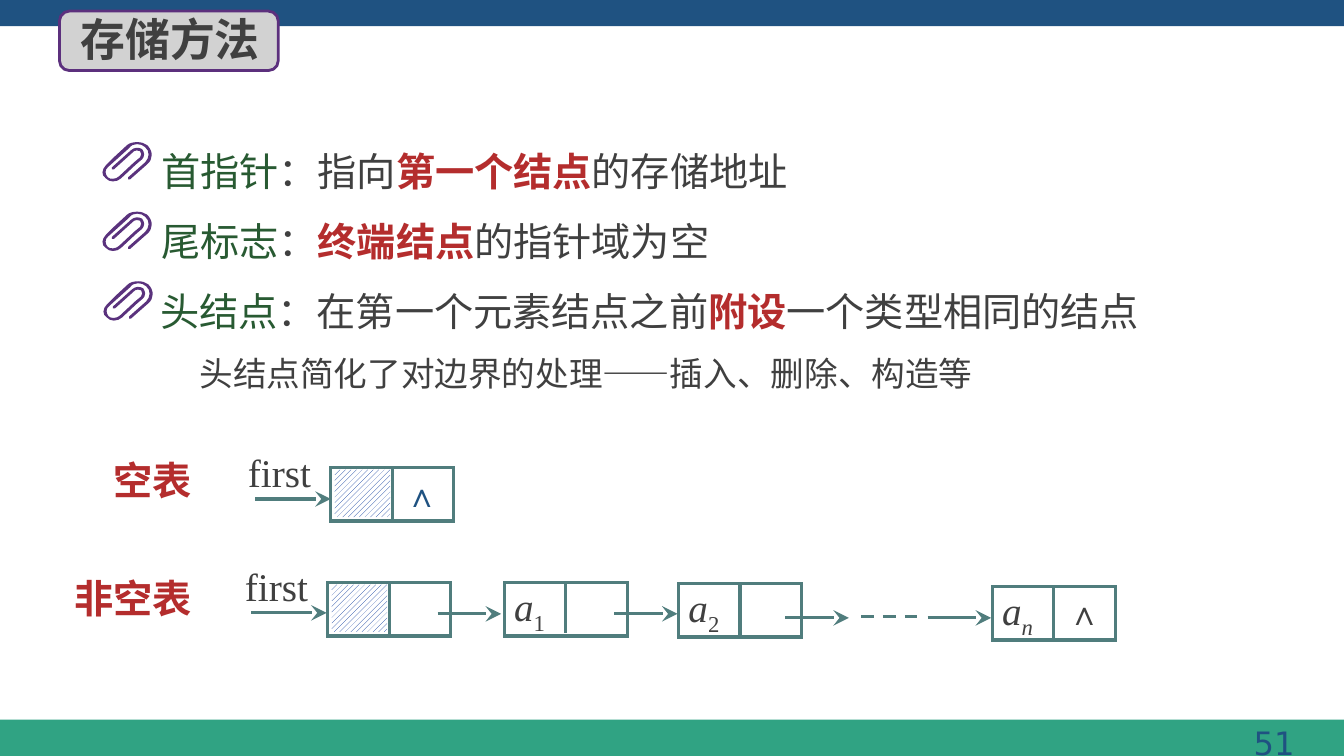
from lxml.etree import SubElement
from pptx import Presentation
from pptx.dml.color import RGBColor
from pptx.enum.dml import MSO_LINE, MSO_PATTERN
from pptx.enum.shapes import MSO_CONNECTOR, MSO_SHAPE
from pptx.enum.text import MSO_ANCHOR, PP_ALIGN
from pptx.oxml.ns import qn
from pptx.util import Inches, Pt

COLORS = {name: RGBColor.from_string(value) for name, value in {
    "navy": "1F5281", "teal": "30A383", "ink": "404040", "green": "285A32",
    "red": "B42D2D", "purple": "5A327D", "title_line": "5C307D", "title_fill": "D2D2D2",
    "node": "507D7D", "hatch": "003399", "white": "FFFFFF",
}.items()}
SANS, SERIF, PAGE_FONT = "Noto Sans CJK SC", "Times New Roman", "DejaVu Sans"
WIDTH, HEIGHT = 13.33, 7.5
NODE_WIDTH, NODE_HEIGHT = 1.22, 0.53
HALF = NODE_WIDTH / 2
ARROW = 0.63

deck = Presentation()
deck.slide_width, deck.slide_height = Inches(WIDTH), Inches(HEIGHT)
page = deck.slides.add_slide(deck.slide_layouts[6])
shapes = page.shapes


def write(box, lines, size, font=SANS, insets=(0.1, 0.05, 0.1, 0.05),
          align=PP_ALIGN.LEFT, anchor=MSO_ANCHOR.TOP, spacing=None):
    """Fill a box with lines, each a list of (text, colour, style letters b, i, s for subscript)."""
    frame = box.text_frame
    frame.word_wrap = True
    frame.vertical_anchor = anchor
    frame.margin_left, frame.margin_top, frame.margin_right, frame.margin_bottom = map(Inches, insets)
    for index, spans in enumerate(lines):
        para = frame.add_paragraph() if index else frame.paragraphs[0]
        para.alignment, para.line_spacing = align, spacing
        para.font.size, para.font.name = Pt(size), font
        SubElement(para.font._element, qn("a:ea"), typeface=font)
        for text, color, style in spans:
            span = para.add_run()
            span.text = text
            span.font.color.rgb = COLORS[color]
            span.font.bold, span.font.italic = "b" in style, "i" in style
            if "s" in style:
                span.font._element.set("baseline", "-25000")


def add_line(left, top, right, bottom, arrow=False):
    line = shapes.add_connector(MSO_CONNECTOR.STRAIGHT, *map(Inches, (left, top, right, bottom)))
    line.line.color.rgb, line.line.width = COLORS["node"], Pt(2.25)
    SubElement(line._element.spPr, qn("a:effectLst"))
    if arrow:
        SubElement(line.line._get_or_add_ln(), qn("a:tailEnd"), type="stealth", w="lg", len="lg")
    return line


# Bands and title plate
for kind, place, fill, outline in (
    (MSO_SHAPE.RECTANGLE, (0, HEIGHT - 0.36, WIDTH, 0.36), "teal", None),
    (MSO_SHAPE.RECTANGLE, (0, 0, WIDTH, 0.26), "navy", None),
    (MSO_SHAPE.ROUNDED_RECTANGLE, (0.59, 0.11, 2.17, 0.59), "title_fill", "title_line"),
):
    plate = shapes.add_shape(kind, *map(Inches, place))
    plate.shadow.inherit = False
    plate.fill.solid()
    plate.fill.fore_color.rgb = COLORS[fill]
    if outline:
        plate.line.color.rgb, plate.line.width = COLORS[outline], Pt(2)
    else:
        plate.line.fill.background()

# Headings, definitions and row labels
first_style = {"font": SERIF, "insets": (0, 0, 0, 0.04)}
mark_style = {"font": SERIF, "insets": (0.1, 0.05, 0.1, 0.04)}
for place, lines, size, options in (
    ((10.03, 7.11, 2.94, 0.52), [[("51", "navy", "")]], 23,
     {"font": PAGE_FONT, "insets": (0.13, 0.06, 0.13, 0.06),
      "align": PP_ALIGN.RIGHT, "anchor": MSO_ANCHOR.MIDDLE}),
    ((0.7, 0.07, 2.14, 0.64), [[("存储方法", "ink", "b")]], 32, {}),
    ((1.5, 1.18, 6.55, 1.5), [
        [("首指针", "green", ""), ("：指向", "ink", ""),
         ("第一个结点", "red", "b"), ("的存储地址", "ink", "")],
        [("尾标志", "green", ""), ("：", "ink", ""),
         ("终端结点", "red", "b"), ("的指针域为空", "ink", "")],
    ], 28, {"spacing": Pt(50)}),
    ((1.49, 2.57, 10.54, 0.72), [
        [("头结点", "green", ""), ("：在第一个元素结点之前", "ink", ""),
         ("附设", "red", "b"), ("一个类型相同的结点", "ink", "")],
    ], 28, {"spacing": Pt(50)}),
    ((1.88, 3.16, 10.54, 0.8),
     [[("头结点简化了对边界的处理——插入、删除、构造等", "ink", "")]], 24, {"spacing": Pt(50)}),
    ((0.84, 4.48, 1.16, 0.57), [[("空表", "red", "b")]], 28, {"align": PP_ALIGN.RIGHT}),
    ((0.58, 5.65, 1.42, 0.57), [[("非空表", "red", "b")]], 28, {"align": PP_ALIGN.RIGHT}),
    ((2.46, 4.45, 0.83, 0.51), [[("first", "ink", "")]], 28, first_style),
    ((2.43, 5.58, 0.83, 0.51), [[("first", "ink", "")]], 28, first_style),
    ((3.92, 4.65, 0.57, 0.49), [[("∧", "navy", "b")]], 24, mark_style),
    ((10.49, 5.82, 0.57, 0.49), [[("∧", "ink", "")]], 24, mark_style),
):
    write(shapes.add_textbox(*map(Inches, place)), lines, size, **options)

# Paper clips: hundredths of an inch, pairs are corners and sextets are Bézier curves
CLIP_START = (46, 3)
CLIP_STEPS = (
    (43, 1, 40, 0, 36, 0), (32, 0, 28, 1, 26, 3), (13, 15), (5, 23),
    (1, 27, 0, 33, 5, 36), (7, 38, 9, 39, 12, 39), (15, 39, 18, 38, 20, 36),
    (35, 22), (41, 17), (42, 16, 43, 14, 43, 12), (43, 10, 42, 9, 41, 7),
    (38, 5, 33, 5, 30, 8), (11, 25), (11, 25, 11, 26, 11, 27), (12, 27), (13, 27), (33, 9),
    (34, 8, 37, 8, 39, 9), (40, 10, 40, 11, 40, 12), (40, 13, 40, 14, 39, 15),
    (33, 20), (18, 34), (15, 37, 9, 37, 7, 35), (4, 32, 4, 27, 7, 25), (8, 24), (28, 6),
    (30, 3, 33, 2, 36, 2), (39, 2, 42, 3, 44, 5), (49, 9, 48, 16, 44, 20),
    (27, 35), (27, 35, 27, 36, 27, 37), (28, 37), (29, 37), (46, 22), (52, 17, 52, 9, 46, 3),
)
for left, top in ((1, 1.41), (1, 2.1), (1.01, 2.79)):
    points = [(Inches(left + x / 100), Inches(top + y / 100))
              for step in (CLIP_START, *CLIP_STEPS) for x, y in zip(step[::2], step[1::2])]
    builder = shapes.build_freeform(*points[0])
    builder.add_line_segments(points[1:], close=True)
    clip = builder.convert_to_shape()
    clip.shadow.inherit = False
    clip.fill.solid()
    clip.fill.fore_color.rgb = COLORS["purple"]
    clip.line.fill.background()
    segments = iter(list(clip._element.iter(qn("a:lnTo"))))
    for step in CLIP_STEPS:
        segment = next(segments)
        if len(step) == 6:
            curve = segment.makeelement(qn("a:cubicBezTo"))
            segment.addprevious(curve)
            for control in (segment, next(segments), next(segments)):
                curve.append(control[0])
                control.getparent().remove(control)

# List nodes: a header node is hatched, the others carry a subscripted name
for left, top, divider, label in (
    (3.28, 4.64, 0.53, None), (3.25, 5.78, 0.53, None),
    (5, 5.78, 0.5, ("1", "s")), (6.73, 5.79, 0.51, ("2", "s")), (9.84, 5.82, 0.51, ("n", "is")),
):
    node = shapes.add_shape(MSO_SHAPE.RECTANGLE, *map(Inches, (left, top, NODE_WIDTH, NODE_HEIGHT)))
    node.shadow.inherit = False
    node.fill.background()
    node.line.color.rgb, node.line.width = COLORS["node"], Pt(2.25)
    SubElement(node.line._get_or_add_ln(), qn("a:miter"), lim="800000")
    add_line(left + HALF, top, left + HALF, top + divider)
    if label:
        subscript, style = label
        write(node, [[("a", "ink", "i"), (subscript, "ink", style)]], 28, SERIF,
              (0.1, 0.02, 0, 0.06), anchor=MSO_ANCHOR.MIDDLE, spacing=0.9)
    else:
        hatch = shapes.add_shape(MSO_SHAPE.RECTANGLE, *map(Inches, (left + 0.04, top + 0.02, 0.55, 0.47)))
        hatch.shadow.inherit = False
        hatch.fill.patterned()
        hatch.fill.pattern = MSO_PATTERN.WIDE_UPWARD_DIAGONAL
        hatch.fill.fore_color.rgb, hatch.fill.back_color.rgb = COLORS["hatch"], COLORS["white"]
        hatch.line.fill.background()

# Pointers
for left, top, length in (
    (2.53, 4.95, 0.75), (2.49, 6.08, 0.75),
    (4.34, 6.09, ARROW), (6.09, 6.09, ARROW), (7.79, 6.13, ARROW), (9.2, 6.13, ARROW),
):
    add_line(left, top, left + length, top, arrow=True)
add_line(8.54, 6.12, 9.16, 6.12).line.dash_style = MSO_LINE.DASH

deck.save("out.pptx")
